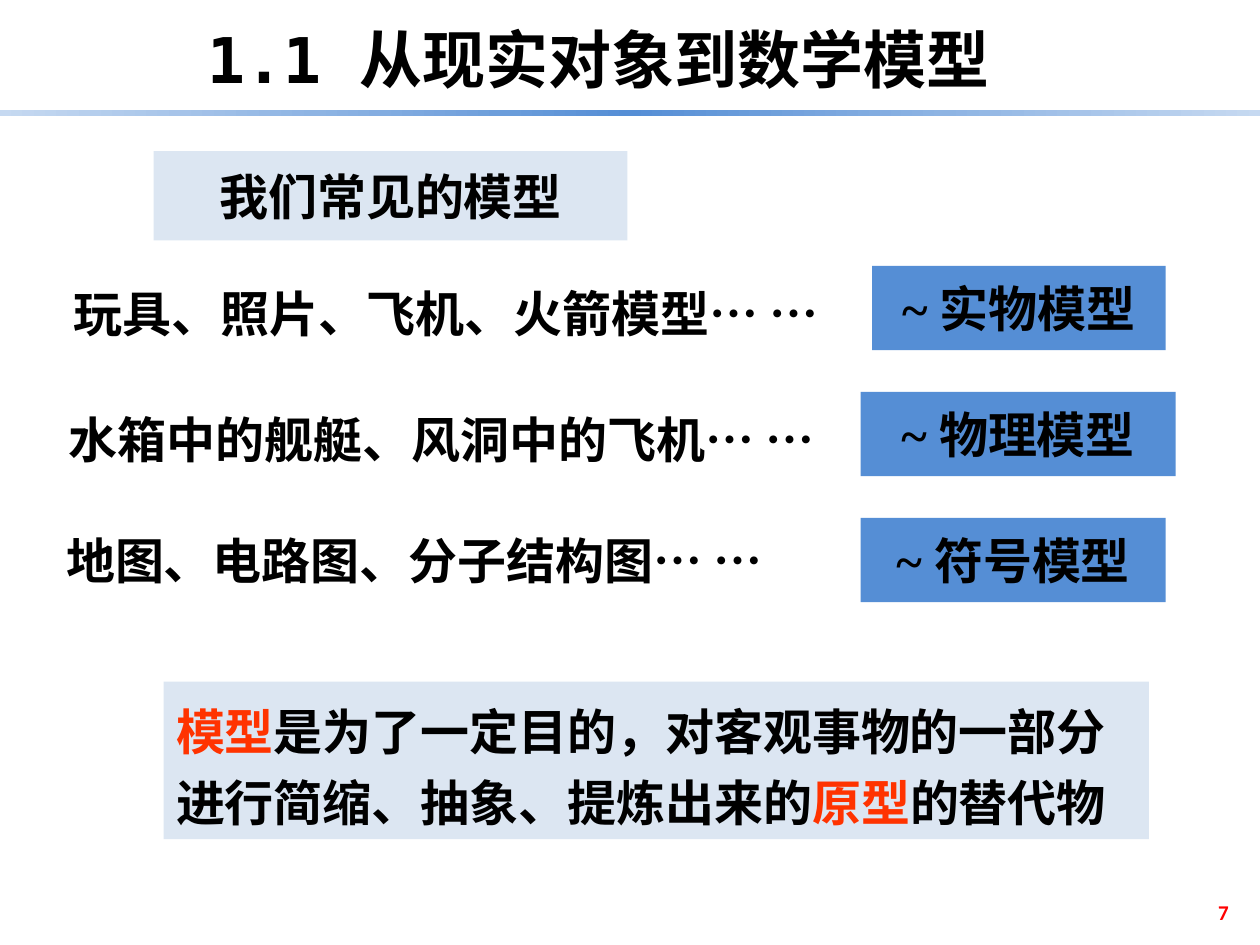
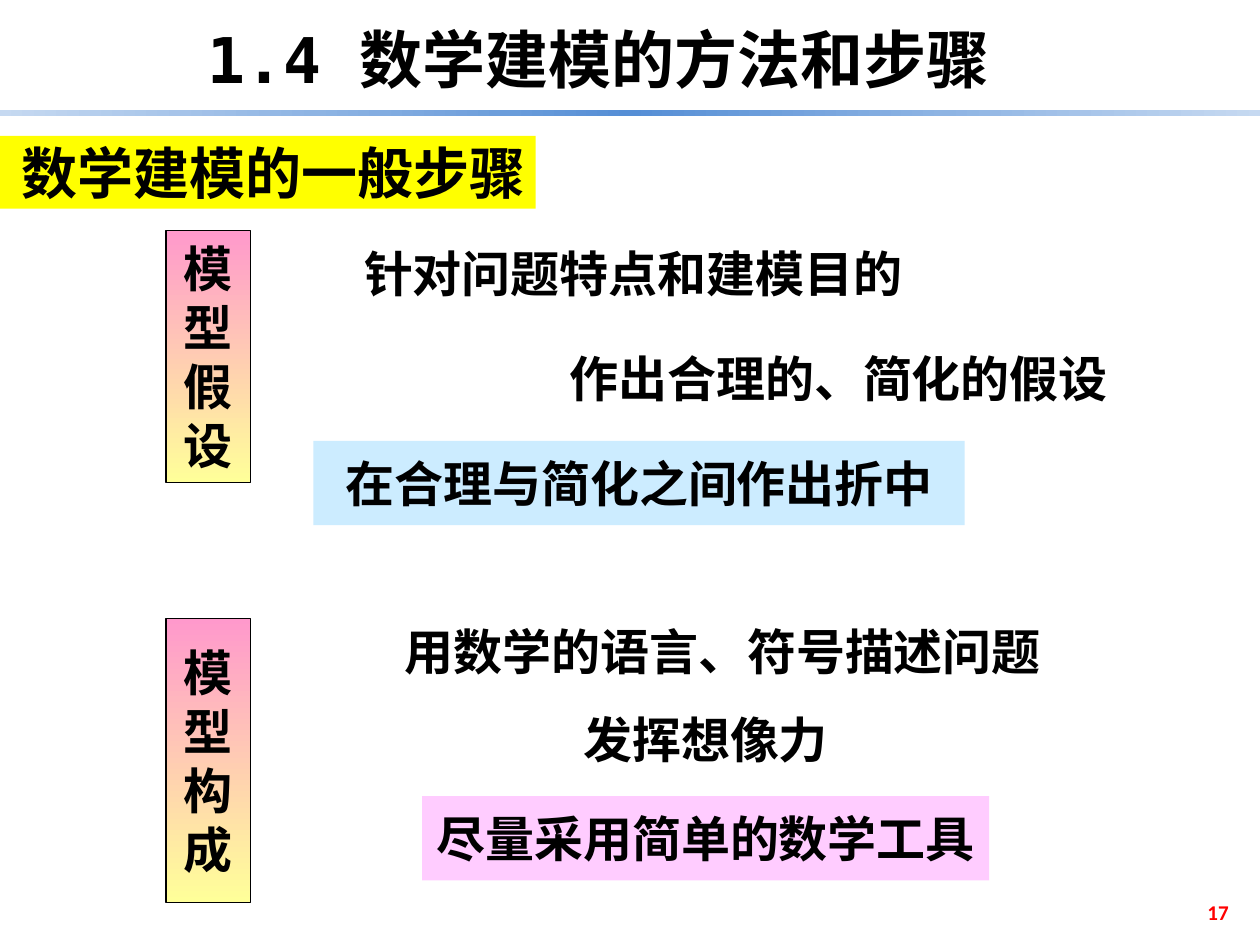
import pptx
import pptx.dml.color
import pptx.enum.shapes
import pptx.enum.text
import pptx.oxml
import pptx.oxml.ns
import pptx.util

Cm = pptx.util.Cm
Pt = pptx.util.Pt
RGBColor = pptx.dml.color.RGBColor
Align = pptx.enum.text.PP_ALIGN
Anchor = pptx.enum.text.MSO_ANCHOR

BLACK = RGBColor(0x00, 0x00, 0x00)
RED = RGBColor(0xFF, 0x00, 0x00)
ORANGE_RED = RGBColor(0xFF, 0x33, 0x00)
BLUE = RGBColor(0x55, 0x8E, 0xD5)
MID_BLUE = RGBColor(0x8E, 0xB4, 0xE3)
LIGHT_BLUE = RGBColor(0xC6, 0xD9, 0xF1)
PALE_BLUE = RGBColor(0xDC, 0xE6, 0xF2)
SKY = RGBColor(0xCC, 0xEC, 0xFF)
PINK = RGBColor(0xFF, 0x99, 0xCC)
PALE_PINK = RGBColor(0xFF, 0xCC, 0xFF)
YELLOW = RGBColor(0xFF, 0xFF, 0x00)
PALE_YELLOW = RGBColor(0xFF, 0xFF, 0x99)

BODY_FONT = "Times New Roman"
TITLE_FONT = "DejaVu Sans Mono"
CHINESE_FONT = "Noto Sans CJK SC"
NUMBER_FONT = "Calibri"

SLIDE_WIDTH = 25.4
SLIDE_HEIGHT = 19.05
ROW_HEIGHT = 1.7
TALL_ROW = 1.9
ROW_PITCH = 2.54
FIRST_ROW = 5.36
LABEL_LEFT = 3.35


def add_run(paragraph, text, size=28, font=BODY_FONT, color=BLACK):
    run = paragraph.add_run()
    run.text = text
    run.font.size = Pt(size)
    run.font.bold = True
    run.font.name = font
    run.font.color.rgb = color
    east_asian = pptx.oxml.parse_xml(
        f'<a:ea {pptx.oxml.ns.nsdecls("a")} typeface="{CHINESE_FONT}"/>')
    run.font.fill  # the colour element precedes the typefaces
    run.font._element.find(pptx.oxml.ns.qn("a:latin")).addnext(east_asian)


def place(shape, left, top, width, height):
    shape.left, shape.top = Cm(left), Cm(top)
    shape.width, shape.height = Cm(width), Cm(height)


def add_rectangle(slide, area):
    shape = slide.shapes.add_shape(
        pptx.enum.shapes.MSO_SHAPE.RECTANGLE, *map(Cm, area))
    shape.shadow.inherit = False
    shape.line.fill.background()
    return shape


def fill_gradient(shape, colors, angle):
    """Spread the colours evenly; the angle runs counter-clockwise."""
    shape.fill.gradient()
    shape.fill.gradient_angle = angle
    stop_list = shape._element.spPr.find(
        ".//" + pptx.oxml.ns.qn("a:gsLst"))
    for stop in list(stop_list):
        stop_list.remove(stop)
    for index, color in enumerate(colors):
        position = 100000 * index // (len(colors) - 1)
        stop_list.append(pptx.oxml.parse_xml(
            f'<a:gs {pptx.oxml.ns.nsdecls("a")} pos="{position}">'
            f'<a:srgbClr val="{color}"/></a:gs>'))


def write_lines(shape, lines, align=Align.CENTER, spacing=None, **style):
    """Write one paragraph per line; a line is a list of (text, colour)."""
    frame = shape.text_frame
    frame.word_wrap = False
    frame.vertical_anchor = Anchor.MIDDLE
    for index, line in enumerate(lines):
        paragraph = frame.add_paragraph() if index else frame.paragraphs[0]
        paragraph.alignment = align
        if spacing:
            paragraph.line_spacing = spacing
        for text, color in line:
            add_run(paragraph, text, color=color, **style)


def add_text(slide, area, text):
    write_lines(slide.shapes.add_textbox(*map(Cm, area)), [[(text, BLACK)]])


def add_panel(slide, area, fill, lines, **style):
    panel = add_rectangle(slide, area)
    panel.fill.solid()
    panel.fill.fore_color.rgb = fill
    write_lines(panel, lines, **style)


def add_step_label(slide, top, height, text):
    """Add a framed label whose characters run downwards."""
    label = add_rectangle(slide, (LABEL_LEFT, top, ROW_HEIGHT, height))
    fill_gradient(label, [PINK, PALE_YELLOW], 270)
    label.line.color.rgb = BLACK
    label.line.width = Pt(0.75)
    write_lines(label, [[(character, BLACK)] for character in text])


def add_titled_slide(presentation, title_text, number):
    """Start a slide with its title, gradient band and page number."""
    slide = presentation.slides.add_slide(presentation.slide_layouts[5])
    title = slide.shapes.title
    place(title, 2.06, 0.28, 20, 1.8)
    frame = title.text_frame
    frame.word_wrap = True
    frame.auto_size = pptx.enum.text.MSO_AUTO_SIZE.SHAPE_TO_FIT_TEXT
    frame.vertical_anchor = Anchor.TOP
    frame.paragraphs[0].alignment = Align.CENTER
    add_run(frame.paragraphs[0], title_text, size=36, font=TITLE_FONT)

    band = add_rectangle(slide, (0, 2.21, SLIDE_WIDTH, 0.13))
    fill_gradient(band, [LIGHT_BLUE, MID_BLUE, BLUE, MID_BLUE, LIGHT_BLUE], 0)

    page_number = slide.shapes.add_textbox(
        Cm(19.1), Cm(17.88), Cm(5.92), Cm(1.02))
    write_lines(page_number, [[(number, RED)]], align=Align.RIGHT,
                size=12, font=NUMBER_FONT)
    page_number.text_frame.word_wrap = True
    return slide


def build_model_kinds(presentation):
    slide = add_titled_slide(presentation, "1.1 从现实对象到数学模型", "7")
    add_panel(slide, (3.1, 3.05, 9.55, 1.8), PALE_BLUE,
              [[("我们常见的模型", BLACK)]], font=CHINESE_FONT)
    # examples, their left, width and height; kind, its left and width
    rows = [
        ("玩具、照片、飞机、火箭模型… …", 0.64, 16.7, TALL_ROW,
         "~ 实物模型", 17.58, 5.92),
        ("水箱中的舰艇、风洞中的飞机… …", 0.43, 16.94, TALL_ROW,
         "~ 物理模型", 17.35, 6.35),
        ("地图、电路图、分子结构图… …", 0.2, 16.3, ROW_HEIGHT,
         "~ 符号模型", 17.35, 6.15),
    ]
    for index, row in enumerate(rows):
        examples, left, width, height, kind, kind_left, kind_width = row
        top = FIRST_ROW + index * ROW_PITCH
        add_text(slide, (left, top, width, height), examples)
        add_panel(slide, (kind_left, top, kind_width, ROW_HEIGHT), BLUE,
                  [[(kind, BLACK)]])
    definition = [
        [("模型", ORANGE_RED), ("是为了一定目的，对客观事物的一部分", BLACK)],
        [("进行简缩、抽象、提炼出来的", BLACK), ("原型", ORANGE_RED),
         ("的替代物", BLACK)],
    ]
    add_panel(slide, (3.3, 13.74, 19.86, 3.18), PALE_BLUE, definition,
              align=Align.LEFT, spacing=1.2)


def build_modelling_steps(presentation):
    slide = add_titled_slide(presentation, "1.4 数学建模的方法和步骤", "17")
    add_panel(slide, (0, 2.74, 10.8, 1.47), YELLOW,
              [[(" 数学建模的一般步骤", BLACK)]], size=32, font=CHINESE_FONT)

    add_step_label(slide, 4.65, 5.08, "模型假设")
    add_text(slide, (6.73, 4.65, 12.07, ROW_HEIGHT), "针对问题特点和建模目的")
    add_text(slide, (10.34, 6.76, 13.13, ROW_HEIGHT), "作出合理的、简化的假设")
    add_panel(slide, (6.32, 8.89, 13.13, ROW_HEIGHT), SKY,
              [[("在合理与简化之间作出折中", BLACK)]])

    add_step_label(slide, 12.47, 5.72, "模型构成")
    add_text(slide, (7.9, 12.17, 13.34, TALL_ROW), "用数学的语言、符号描述问题")
    add_text(slide, (11.05, 14.05, 6.35, ROW_HEIGHT), "发挥想像力")
    add_panel(slide, (8.51, 16.05, 11.43, ROW_HEIGHT), PALE_PINK,
              [[("尽量采用简单的数学工具", BLACK)]])


def main():
    presentation = pptx.Presentation()
    presentation.slide_width = Cm(SLIDE_WIDTH)
    presentation.slide_height = Cm(SLIDE_HEIGHT)
    build_model_kinds(presentation)
    build_modelling_steps(presentation)
    presentation.save("out.pptx")


if __name__ == "__main__":
    main()
